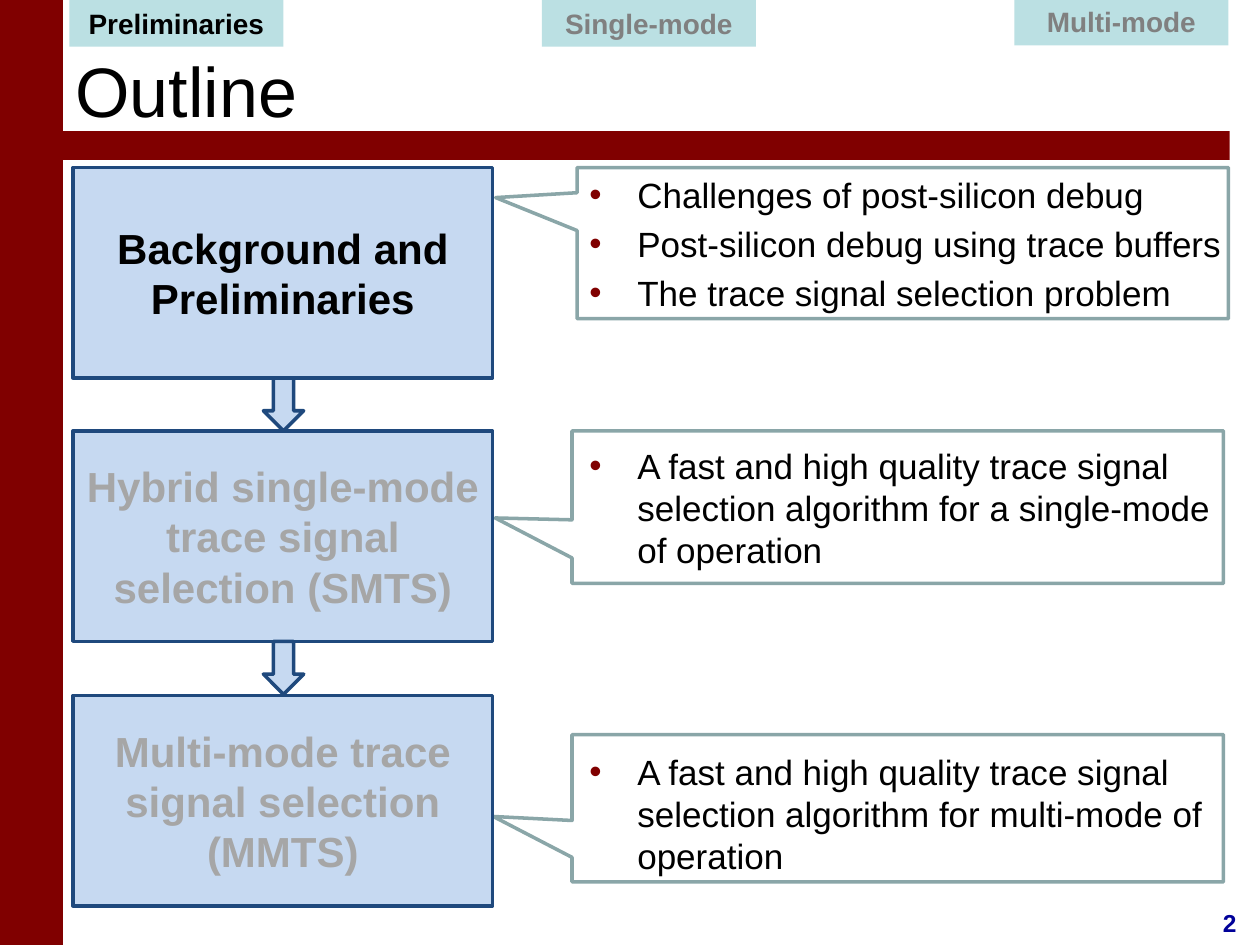
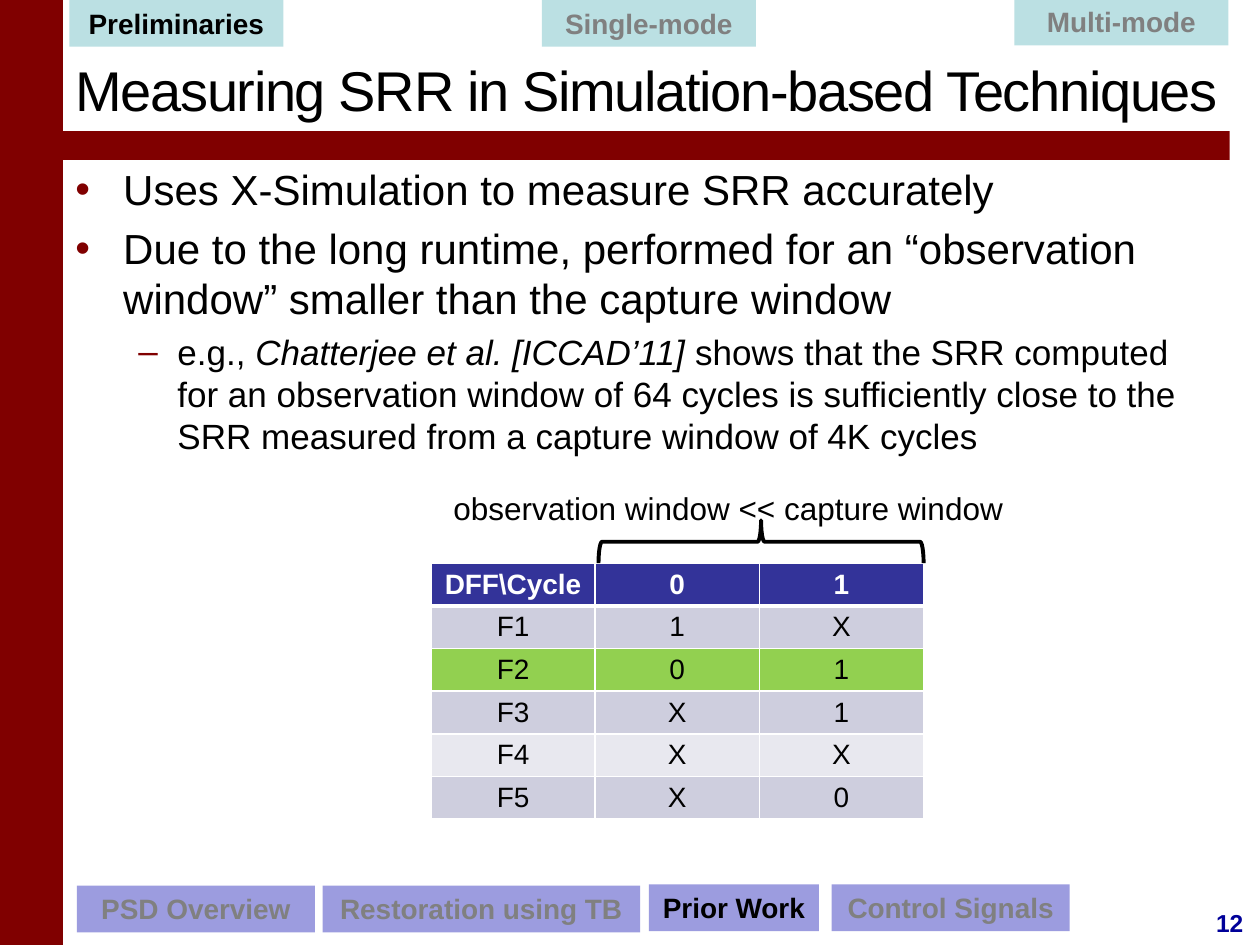
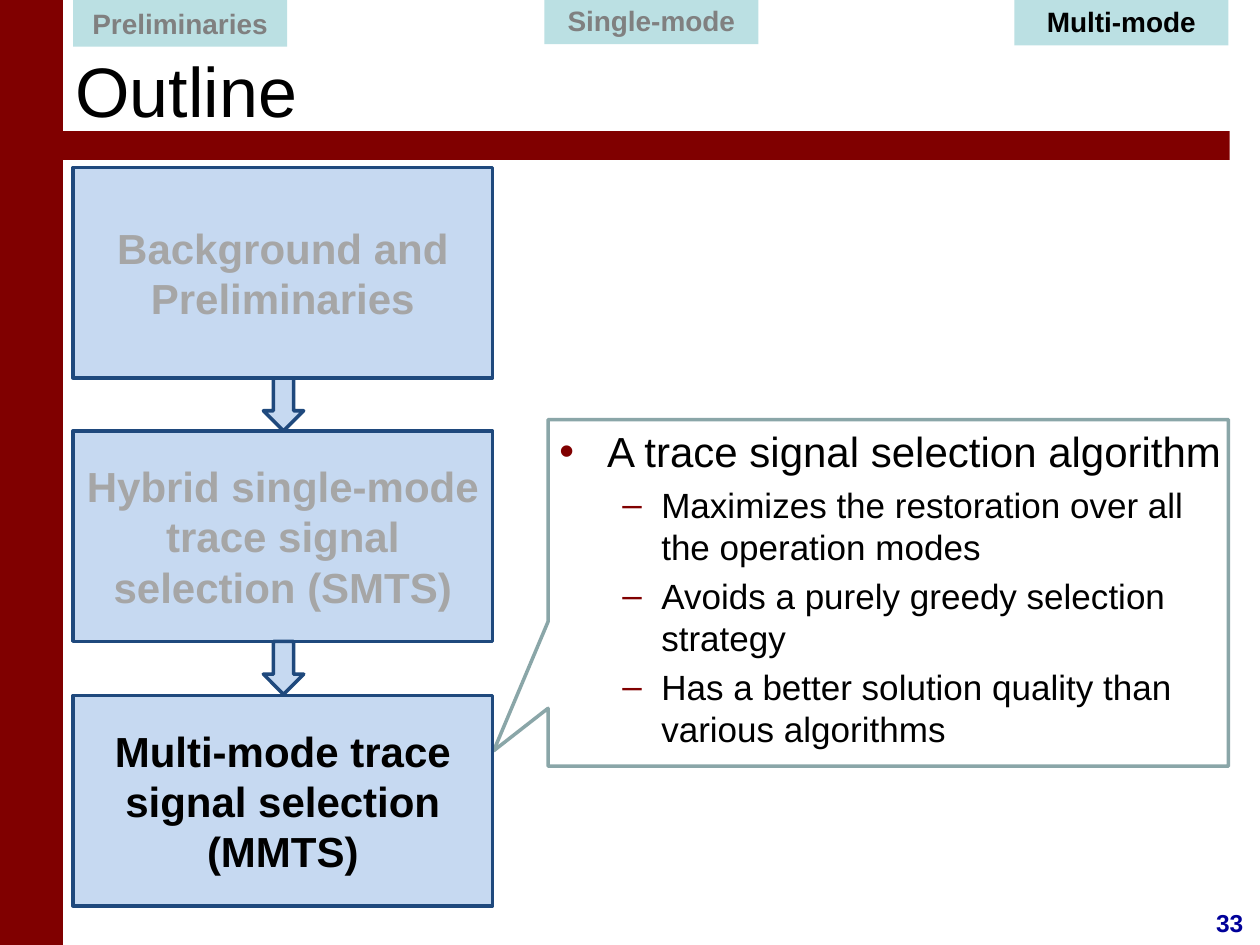
"""Build three slides on trace signal selection for post-silicon debug."""
from lxml import etree
from pptx import Presentation
from pptx import util as u
from pptx.dml.color import RGBColor
from pptx.enum import shapes, text
from pptx.oxml.ns import qn

BLACK = RGBColor(0x00, 0x00, 0x00)
WHITE = RGBColor(0xFF, 0xFF, 0xFF)
MAROON = RGBColor(0x80, 0x00, 0x00)
NUMBER_BLUE = RGBColor(0x00, 0x00, 0x99)
TAB_TEAL = RGBColor(0xBB, 0xE0, 0xE3)
TAB_VIOLET = RGBColor(0x9C, 0x9C, 0xDF)
TAB_GRAY = RGBColor(0x80, 0x80, 0x80)
STEP_FILL = RGBColor(0xC6, 0xD9, 0xF1)
STEP_LINE = RGBColor(0x1F, 0x49, 0x7D)
STEP_GRAY = RGBColor(0xA6, 0xA6, 0xA6)
CALLOUT_LINE = RGBColor(0x8A, 0xA6, 0xA8)
HEAD_FILL = RGBColor(0x33, 0x33, 0x99)
ROW_DARK = RGBColor(0xCE, 0xCE, 0xDE)
ROW_LIGHT = RGBColor(0xE8, 0xE8, 0xEF)
ROW_GREEN = RGBColor(0x92, 0xD0, 0x50)

FONT = "Arial"
SHAPE = shapes.MSO_SHAPE
CENTER = text.PP_ALIGN.CENTER
MIDDLE = text.MSO_ANCHOR.MIDDLE
TOP = text.MSO_ANCHOR.TOP

SECTIONS = ("Preliminaries", "Single-mode", "Multi-mode")
TAB_SPOTS = ((0.55, 0), (4.3, 0), (8.05, -0.01))
LAST_TAB_SPOTS = ((0.58, 0), (4.32, -0.02), (8.05, -0.01))
STEPS = ("Background and Preliminaries",
         "Hybrid single-mode trace signal selection (SMTS)",
         "Multi-mode trace signal selection (MMTS)")
STEP_TOPS = (1.33, 3.42, 5.52)
STEP_HEIGHT = 1.67
BULLETS = (("•", 0.38, -0.38), ("–", 0.81, -0.31))


def inches(box):
    return [u.Inches(v) for v in box]


class Deck:
    def __init__(self):
        self.prs = Presentation()
        self.prs.slide_width, self.prs.slide_height = inches((10, 7.5))
        self.s = None

    def slide(self, title, number, size=40, width=9.17, spacing=None):
        self.s = self.prs.slides.add_slide(self.prs.slide_layouts[5])
        self.shape(SHAPE.RECTANGLE, (0, 0, 0.5, 7.5), MAROON)
        self.shape(SHAPE.RECTANGLE, (0.42, 1.04, 9.34, 0.23), MAROON)
        sp = self.s.shapes.title
        sp.left, sp.top, sp.width, sp.height = inches((0.5, 0.17, width, 1.08))
        tf = self.frame(sp, MIDDLE)
        tf.paragraphs[0].alignment = text.PP_ALIGN.LEFT
        r = self.run(tf.paragraphs[0], title, size)
        if spacing:
            r._r.get_or_add_rPr().set("spc", str(spacing))
        self.label((9.51, 7.16, 0.5, 0.33), str(number), 14, NUMBER_BLUE, True, CENTER)

    def frame(self, sp, anchor=TOP):
        tf = sp.text_frame
        tf.word_wrap = True
        tf.auto_size = text.MSO_AUTO_SIZE.NONE
        tf.vertical_anchor = anchor
        return tf

    def run(self, p, words, size, color=BLACK, bold=False, italic=False):
        r = p.add_run()
        r.text = words
        f = r.font
        f.name, f.size, f.bold, f.italic = FONT, u.Pt(size), bold, italic
        f.color.rgb = color
        return r

    def shape(self, kind, box, fill=None, line=None, weight=2, adj=()):
        sp = self.s.shapes.add_shape(kind, *inches(box))
        sp.shadow.inherit = False
        if fill is None:
            sp.fill.background()
        else:
            sp.fill.solid()
            sp.fill.fore_color.rgb = fill
        if line is None:
            sp.line.fill.background()
        else:
            sp.line.color.rgb = line
            sp.line.width = u.Pt(weight)
        for i, value in enumerate(adj):
            sp.adjustments[i] = value
        return sp

    def box(self, box, words, size, color, fill, line=None, anchor=MIDDLE):
        p = self.frame(self.shape(SHAPE.RECTANGLE, box, fill, line), anchor).paragraphs[0]
        p.alignment = CENTER
        self.run(p, words, size, color, True)

    def label(self, box, words, size, color=BLACK, bold=False, align=None):
        p = self.frame(self.s.shapes.add_textbox(*inches(box))).paragraphs[0]
        p.alignment = align
        self.run(p, words, size, color, bold)

    def tab(self, box, words, fill, active):
        self.box(box, words, 16, BLACK if words == active else TAB_GRAY, fill, anchor=TOP)

    def sections(self, active, spots=TAB_SPOTS):
        for words, spot in zip(SECTIONS, spots):
            self.tab((*spot, 1.7, 0.37), words, TAB_TEAL, active)

    def steps(self, active):
        for i, (words, top) in enumerate(zip(STEPS, STEP_TOPS)):
            color = BLACK if i == active else STEP_GRAY
            self.box((0.58, top, 3.33, STEP_HEIGHT), words, 24, color, STEP_FILL, STEP_LINE)
        for top in STEP_TOPS[:-1]:
            self.shape(SHAPE.DOWN_ARROW, (2.09, top + STEP_HEIGHT, 0.32, 0.42),
                       STEP_FILL, STEP_LINE)

    def bullets(self, box, items, fill=None):
        sp = self.s.shapes.add_textbox(*inches(box))
        if fill is not None:
            sp.fill.solid()
            sp.fill.fore_color.rgb = fill
        tf = self.frame(sp)
        for i, (level, size, *runs) in enumerate(items):
            p = tf.add_paragraph() if i else tf.paragraphs[0]
            p.level = level
            p.space_before = u.Pt(size * 0.2)
            mark, margin, indent = BULLETS[level]
            pPr = p._p.get_or_add_pPr()
            pPr.set("marL", str(u.Inches(margin)))
            pPr.set("indent", str(u.Inches(indent)))
            clr = etree.SubElement(pPr, qn("a:buClr"))
            etree.SubElement(clr, qn("a:srgbClr"), val=str(MAROON))
            etree.SubElement(pPr, qn("a:buFont"), typeface=FONT)
            etree.SubElement(pPr, qn("a:buChar"), char=mark)
            for j, words in enumerate(runs):
                self.run(p, words, size, italic=j == 1)

    def callout(self, box, adj):
        self.shape(SHAPE.RECTANGULAR_CALLOUT, box, line=CALLOUT_LINE, adj=adj)

    def borders(self, cell, **weights):
        tcPr = cell._tc.get_or_add_tcPr()
        for i, side in enumerate("LRTB"):
            ln = etree.Element(qn("a:ln" + side), w=str(u.Pt(weights.get(side, 1))))
            fill = etree.SubElement(ln, qn("a:solidFill"))
            etree.SubElement(fill, qn("a:srgbClr"), val=str(WHITE))
            tcPr.insert(i, ln)

    def table(self, box, rows, fills, row_height):
        tbl = self.s.shapes.add_table(len(rows), len(rows[0]), *inches(box)).table
        for i, (row, fill) in enumerate(zip(rows, fills)):
            tbl.rows[i].height = u.Inches(row_height)
            for j, words in enumerate(row):
                cell = tbl.cell(i, j)
                cell.fill.solid()
                cell.fill.fore_color.rgb = fill
                cell.vertical_anchor = MIDDLE
                cell.margin_top = cell.margin_bottom = u.Pt(3.3)
                self.borders(cell, B=1 if i else 3, T=3 if i == 1 else 1)
                p = cell.text_frame.paragraphs[0]
                p.alignment = CENTER
                self.run(p, words, 16, BLACK if i else WHITE, i == 0)


def overview(d):
    d.slide("Outline", 2)
    algorithm = "A fast and high quality trace signal selection algorithm for "
    d.bullets((4.58, 5.91, 5.26, 1.09), [(0, 20, algorithm + "multi-mode of operation")], WHITE)
    d.bullets((4.58, 3.48, 5.17, 1.02),
              [(0, 20, algorithm + "a single-mode of operation")], WHITE)
    d.bullets((4.58, 1.33, 5.26, 1.54),
              [(0, 20, "Challenges of post-silicon debug"),
               (0, 20, "Post-silicon debug using trace buffers"),
               (0, 20, "The trace signal selection problem")], WHITE)
    d.sections("Preliminaries")
    d.callout((4.58, 1.33, 5.17, 1.2), (-0.625, -0.301))
    d.callout((4.54, 3.42, 5.17, 1.21), (-0.618, 0.071))
    d.callout((4.54, 5.83, 5.17, 1.17), (-0.621, 0.056))
    d.steps(0)


def measuring(d):
    d.slide("Measuring SRR in Simulation-based Techniques", 12, 32, 9.83, -80)
    d.bullets((0.5, 1.25, 9.17, 5.83), [
        (0, 24, "Uses X-Simulation to measure SRR accurately"),
        (0, 24, "Due to the long runtime, performed for an “observation window” "
                "smaller than the capture window"),
        (1, 20, "e.g.,", " Chatterjee et al. [ICCAD’11]",
         " shows that the SRR computed for an observation window of 64 cycles is "
         "sufficiently close to the SRR measured from a capture window of 4K cycles")])
    d.table((3.42, 4.47, 3.91, 1.98),
            [("DFF\\Cycle", "0", "1"), ("F1", "1", "X"), ("F2", "0", "1"),
             ("F3", "X", "1"), ("F4", "X", "X"), ("F5", "X", "0")],
            (HEAD_FILL, ROW_DARK, ROW_GREEN, ROW_DARK, ROW_LIGHT, ROW_DARK), 0.33)
    brace = d.shape(SHAPE.LEFT_BRACE, (5.87, 3.01, 0.34, 2.58), line=BLACK, weight=2.25)
    brace.rotation = 90
    d.label((3.5, 3.83, 5, 0.4), "observation window << capture window", 18)
    d.sections("Preliminaries")
    for left, top, width, words in ((0.61, 7.03, 1.89, "PSD Overview"),
                                    (2.56, 7.03, 2.52, "Restoration using TB"),
                                    (5.15, 7.02, 1.35, "Prior Work"),
                                    (6.6, 7.02, 1.89, "Control Signals")):
        d.tab((left, top, width, 0.37), words, TAB_VIOLET, "Prior Work")


def multi_mode(d):
    d.slide("Outline", 33)
    d.bullets((4.34, 3.33, 5.55, 2.97), [
        (0, 24, "A trace signal selection algorithm"),
        (1, 20, "Maximizes the restoration over all the operation modes"),
        (1, 20, "Avoids a purely greedy selection strategy"),
        (1, 20, "Has a better solution quality than various algorithms")], WHITE)
    d.sections("Multi-mode", LAST_TAB_SPOTS)
    d.callout((4.35, 3.33, 5.4, 2.75), (-0.58, 0.456))
    d.steps(2)


def main():
    d = Deck()
    overview(d)
    measuring(d)
    multi_mode(d)
    d.prs.save("out.pptx")


if __name__ == "__main__":
    main()
